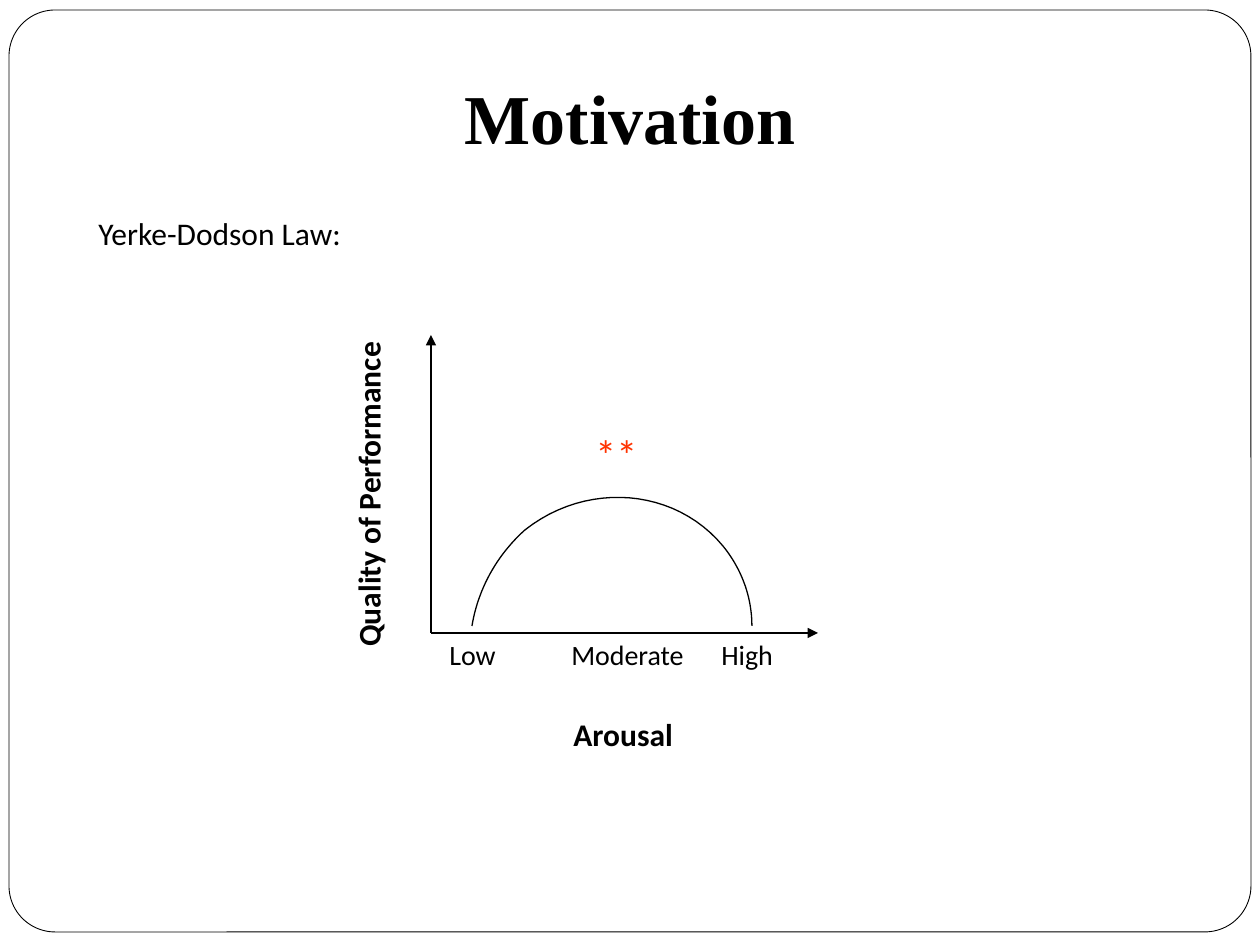
from dataclasses import dataclass

from lxml import etree
from pptx import Presentation
from pptx.dml.color import RGBColor
from pptx.enum.shapes import MSO_CONNECTOR, MSO_SHAPE
from pptx.enum.text import MSO_ANCHOR, PP_ALIGN
from pptx.oxml.ns import qn
from pptx.util import Pt

LINE = MSO_CONNECTOR.STRAIGHT
ROUNDED = MSO_SHAPE.ROUNDED_RECTANGLE
MIDDLE = MSO_ANCHOR.MIDDLE
TOP = MSO_ANCHOR.TOP
CENTER = PP_ALIGN.CENTER
LEFT = PP_ALIGN.LEFT


@dataclass(frozen=True)
class Theme:
    ink: str = "000000"
    paper: str = "FFFFFF"
    accent: str = "FF3300"
    heading_font: str = "Times New Roman"
    body_font: str = "Calibri"
    title: int = 40
    mark: int = 24
    body: int = 18
    tick: int = 16
    frame_line: float = 0.5
    graph_line: float = 0.75


THEME = Theme()
SCALE = 914400 / 126
SLIDE = (1260, 945)
FRAME = (9, 10, 1242, 922)
TITLE = ("Motivation", (63, 38, 1134, 158))
LABELS = [
    ("Yerke-Dodson Law:", (86, 208, 272, 50), THEME.body, False, THEME.ink, 0),
    ("Arousal", (561, 709, 125, 50), THEME.body, True, THEME.ink, 0),
    ("Quality of Performance", (203, 469, 330, 50), THEME.body, True, THEME.ink, 270),
    ("**", (583, 422, 67, 63), THEME.mark, False, THEME.accent, 0),
]
LEVELS = ["Low", "Moderate", "High"]
LEVELS_AREA = (437, 631, 352, 47)
LEVEL_TABS = [122, 272]
ORIGIN = (431, 633)
AXIS_ENDS = [(431, 335), (818, 633)]
CURVE_START = (472, 626)
CURVE = [
    [(478, 590), (496, 556), (525, 530)],
    [(587, 481), (675, 488), (723, 546)],
    [(741, 568), (752, 596), (752, 626)],
]
CURVE_STEPS = 24


def emu(*lengths):
    return [round(length * SCALE) for length in lengths]


def color(value):
    return RGBColor.from_string(value)


def set_line(shape, width):
    shape.line.color.rgb = color(THEME.ink)
    shape.line.width = Pt(width)


def add_text(page, text, area, size, bold=False, tint=THEME.ink, font=THEME.body_font,
             align=LEFT, anchor=TOP, wrap=False):
    box = page.shapes.add_textbox(*emu(*area))
    frame = box.text_frame
    frame.word_wrap = wrap
    frame.vertical_anchor = anchor
    frame.text = text
    para = frame.paragraphs[0]
    para.alignment = align
    for span in para.runs:
        span.font.name = font
        span.font.size = Pt(size)
        span.font.bold = bold
        span.font.color.rgb = color(tint)
    return box


def add_tabs(para, stops):
    tabs = etree.SubElement(para._p.get_or_add_pPr(), qn("a:tabLst"))
    for position in emu(*stops):
        etree.SubElement(tabs, qn("a:tab"), pos=str(position), algn="l")


def add_axis(page, end):
    axis = page.shapes.add_connector(LINE, *emu(*ORIGIN, *end))
    set_line(axis, THEME.graph_line)
    etree.SubElement(axis.line._get_or_add_ln(), qn("a:tailEnd"), type="triangle")
    etree.SubElement(axis._element.spPr, qn("a:effectLst"))


def bezier(start, first, second, end, t):
    u = 1 - t
    return [
        u**3 * a + 3 * u**2 * t * b + 3 * u * t**2 * c + t**3 * d
        for a, b, c, d in zip(start, first, second, end)
    ]


def add_curve(page):
    points = []
    start = CURVE_START
    for first, second, end in CURVE:
        for step in range(1, CURVE_STEPS + 1):
            points.append(emu(*bezier(start, first, second, end, step / CURVE_STEPS)))
        start = end
    builder = page.shapes.build_freeform(*emu(*CURVE_START))
    builder.add_line_segments(points, close=False)
    curve = builder.convert_to_shape()
    curve.shadow.inherit = False
    curve.fill.background()
    set_line(curve, THEME.graph_line)


def main():
    deck = Presentation()
    deck.slide_width, deck.slide_height = emu(*SLIDE)
    page = deck.slides.add_slide(deck.slide_layouts[6])

    frame = page.shapes.add_shape(ROUNDED, *emu(*FRAME))
    frame.adjustments[0] = 0.05
    frame.shadow.inherit = False
    frame.fill.solid()
    frame.fill.fore_color.rgb = color(THEME.paper)
    set_line(frame, THEME.frame_line)

    add_text(page, *TITLE, THEME.title, bold=True, font=THEME.heading_font,
             align=CENTER, anchor=MIDDLE, wrap=True)
    for end in AXIS_ENDS:
        add_axis(page, end)
    add_curve(page)
    for text, area, size, bold, tint, rotation in LABELS:
        add_text(page, text, area, size, bold, tint).rotation = rotation
    levels = add_text(page, "\t".join(LEVELS), LEVELS_AREA, THEME.tick)
    add_tabs(levels.text_frame.paragraphs[0], LEVEL_TABS)

    deck.save("out.pptx")


if __name__ == "__main__":
    main()
